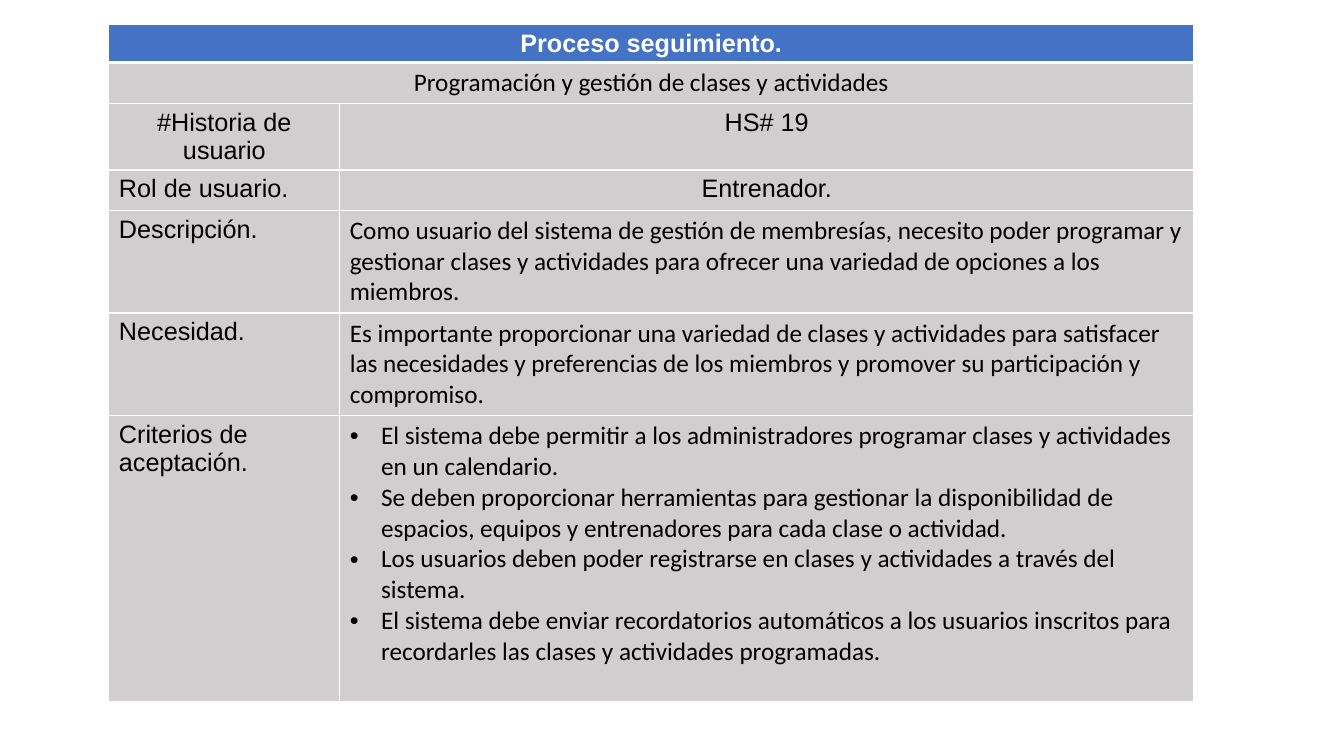
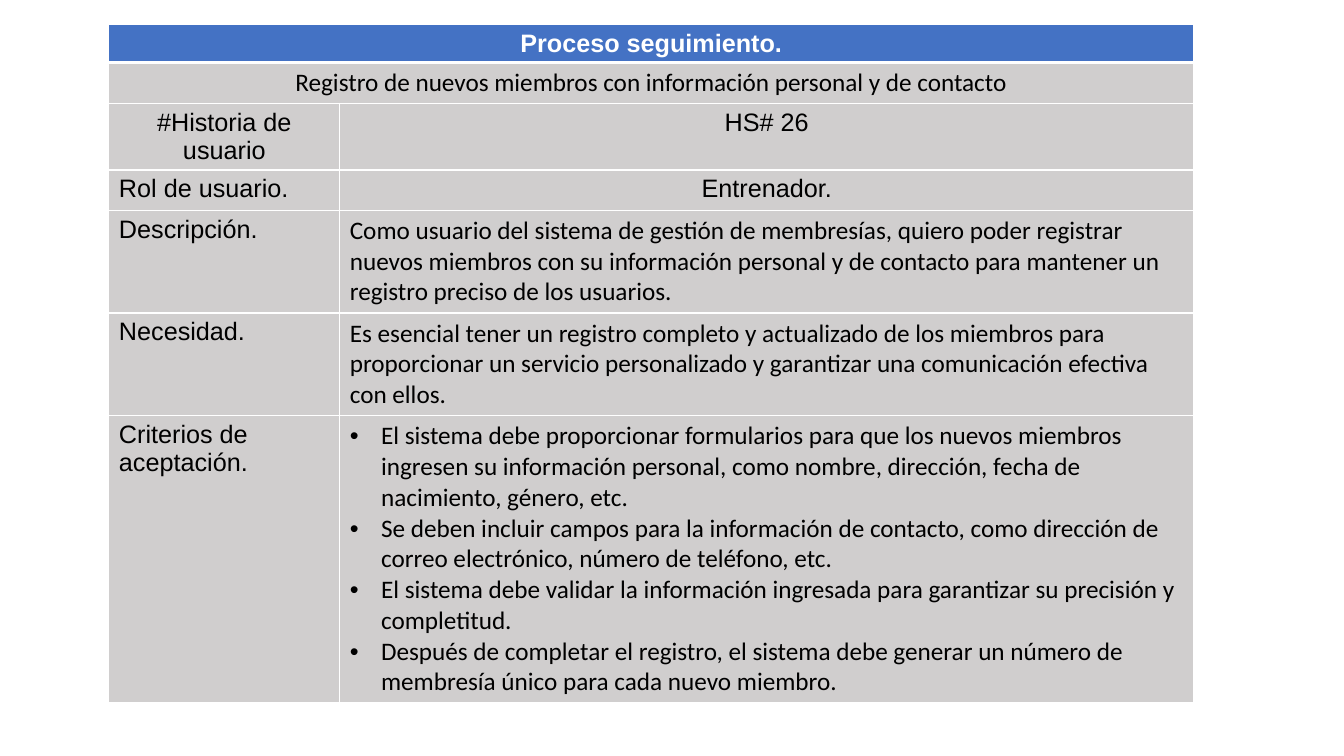
import dataclasses

import pptx
import pptx.dml.color
import pptx.enum.text
import pptx.oxml
import pptx.oxml.ns
import pptx.util
from lxml import etree


@dataclasses.dataclass(frozen=True)
class Theme:
    header: str = "4472C4"
    body: str = "D0CECE"
    text: str = "000000"
    white: str = "FFFFFF"
    label_font: str = "Arial"
    prose_font: str = "Calibri"
    size: int = 18
    rule: int = 1
    header_rule: int = 3
    bullet_indent: float = 0.31


THEME = Theme()
SLIDE_SIZE = (13.33, 7.5)
TABLE_ORIGIN = (1.08, 0.24)
COLUMNS = (2.29, 8.47)
ROWS = (0.38, 0.4, 0.66, 0.4, 1.02, 1.02, 2.83)
CENTER = pptx.enum.text.PP_ALIGN.CENTER
LEFT = pptx.enum.text.PP_ALIGN.LEFT


@dataclasses.dataclass(frozen=True)
class Story:
    title: str
    number: str
    description: str
    need: str
    criteria: tuple


STORIES = (
    Story(
        "Programación y gestión de clases y actividades",
        "HS# 19",
        "Como usuario del sistema de gestión de membresías, necesito poder programar y "
        "gestionar clases y actividades para ofrecer una variedad de opciones a los miembros.",
        "Es importante proporcionar una variedad de clases y actividades para satisfacer las "
        "necesidades y preferencias de los miembros y promover su participación y compromiso.",
        (
            "El sistema debe permitir a los administradores programar clases y actividades "
            "en un calendario.",
            "Se deben proporcionar herramientas para gestionar la disponibilidad de espacios, "
            "equipos y entrenadores para cada clase o actividad.",
            "Los usuarios deben poder registrarse en clases y actividades a través del sistema.",
            "El sistema debe enviar recordatorios automáticos a los usuarios inscritos para "
            "recordarles las clases y actividades programadas.",
        ),
    ),
    Story(
        "Registro de nuevos miembros con información personal y de contacto",
        "HS# 26",
        "Como usuario del sistema de gestión de membresías, quiero poder registrar nuevos "
        "miembros con su información personal y de contacto para mantener un registro "
        "preciso de los usuarios.",
        "Es esencial tener un registro completo y actualizado de los miembros para "
        "proporcionar un servicio personalizado y garantizar una comunicación efectiva con ellos.",
        (
            "El sistema debe proporcionar formularios para que los nuevos miembros ingresen su "
            "información personal, como nombre, dirección, fecha de nacimiento, género, etc.",
            "Se deben incluir campos para la información de contacto, como dirección de correo "
            "electrónico, número de teléfono, etc.",
            "El sistema debe validar la información ingresada para garantizar su precisión y "
            "completitud.",
            "Después de completar el registro, el sistema debe generar un número de membresía "
            "único para cada nuevo miembro.",
        ),
    ),
)


def rgb(color):
    return pptx.dml.color.RGBColor.from_string(color)


def sub(parent, tag, **attrs):
    return etree.SubElement(parent, pptx.oxml.ns.qn(tag), attrs)


def style_cell(cell, fill, top, bottom):
    """Add white borders, then the fill, in the order the file format requires."""
    tcPr = cell._tc.get_or_add_tcPr()
    for side, width in (("L", THEME.rule), ("R", THEME.rule), ("T", top), ("B", bottom)):
        ln = sub(tcPr, f"a:ln{side}", w=str(pptx.util.Pt(width)))
        sub(sub(ln, "a:solidFill"), "a:srgbClr", val=THEME.white)
    cell.fill.solid()
    cell.fill.fore_color.rgb = rgb(fill)


def add_bullet(p):
    indent = pptx.util.Inches(THEME.bullet_indent)
    pPr = p._p.get_or_add_pPr()
    pPr.set("marL", str(indent))
    pPr.set("indent", str(-indent))
    sub(sub(pPr, "a:buClr"), "a:srgbClr", val=THEME.text)
    sub(pPr, "a:buFont", typeface=THEME.label_font)
    sub(pPr, "a:buChar", char="•")


def write_cell(cell, *lines, font=THEME.label_font, color=THEME.text,
               align=LEFT, bold=False, bullets=False):
    tf = cell.text_frame
    tf.text = "\n".join(lines)
    for p in tf.paragraphs:
        p.alignment = align
        if bullets:
            add_bullet(p)
        for r in p.runs:
            r.font.name = font
            r.font.size = pptx.util.Pt(THEME.size)
            r.font.bold = bold
            r.font.color.rgb = rgb(color)


def add_story_table(s):
    """Add the empty story table with its sizes, fills, borders and full-width rows."""
    left, top, width, height = map(
        pptx.util.Inches, (*TABLE_ORIGIN, sum(COLUMNS), sum(ROWS)))
    table = s.shapes.add_table(
        len(ROWS), len(COLUMNS), left, top, width, height).table
    table.horz_banding = False
    for column, size in zip(table.columns, COLUMNS):
        column.width = pptx.util.Inches(size)
    for i, (row, size) in enumerate(zip(table.rows, ROWS)):
        row.height = pptx.util.Inches(size)
        for cell in row.cells:
            style_cell(cell,
                       fill=THEME.header if i == 0 else THEME.body,
                       top=THEME.header_rule if i == 1 else THEME.rule,
                       bottom=THEME.header_rule if i == 0 else THEME.rule)
    for i in (0, 1):
        table.cell(i, 0).merge(table.cell(i, 1))
    return table


def add_story_slide(prs, story):
    s = prs.slides.add_slide(prs.slide_layouts[6])
    table = add_story_table(s)
    prose = {"font": THEME.prose_font}
    centered = {"align": CENTER}
    write_cell(table.cell(0, 0), "Proceso seguimiento.",
               color=THEME.white, bold=True, **centered)
    write_cell(table.cell(1, 0), story.title, **prose, **centered)
    fields = (
        ("#Historia de usuario", centered, (story.number,), centered),
        ("Rol de usuario.", {}, ("Entrenador.",), centered),
        ("Descripción.", {}, (story.description,), prose),
        ("Necesidad.", {}, (story.need,), prose),
        ("Criterios de aceptación.", {}, story.criteria, {**prose, "bullets": True}),
    )
    for i, (label, label_style, lines, value_style) in enumerate(fields, start=2):
        write_cell(table.cell(i, 0), label, **label_style)
        write_cell(table.cell(i, 1), *lines, **value_style)


def main():
    prs = pptx.Presentation()
    prs.slide_width, prs.slide_height = map(pptx.util.Inches, SLIDE_SIZE)
    for story in STORIES:
        add_story_slide(prs, story)
    prs.save("out.pptx")


if __name__ == "__main__":
    main()
